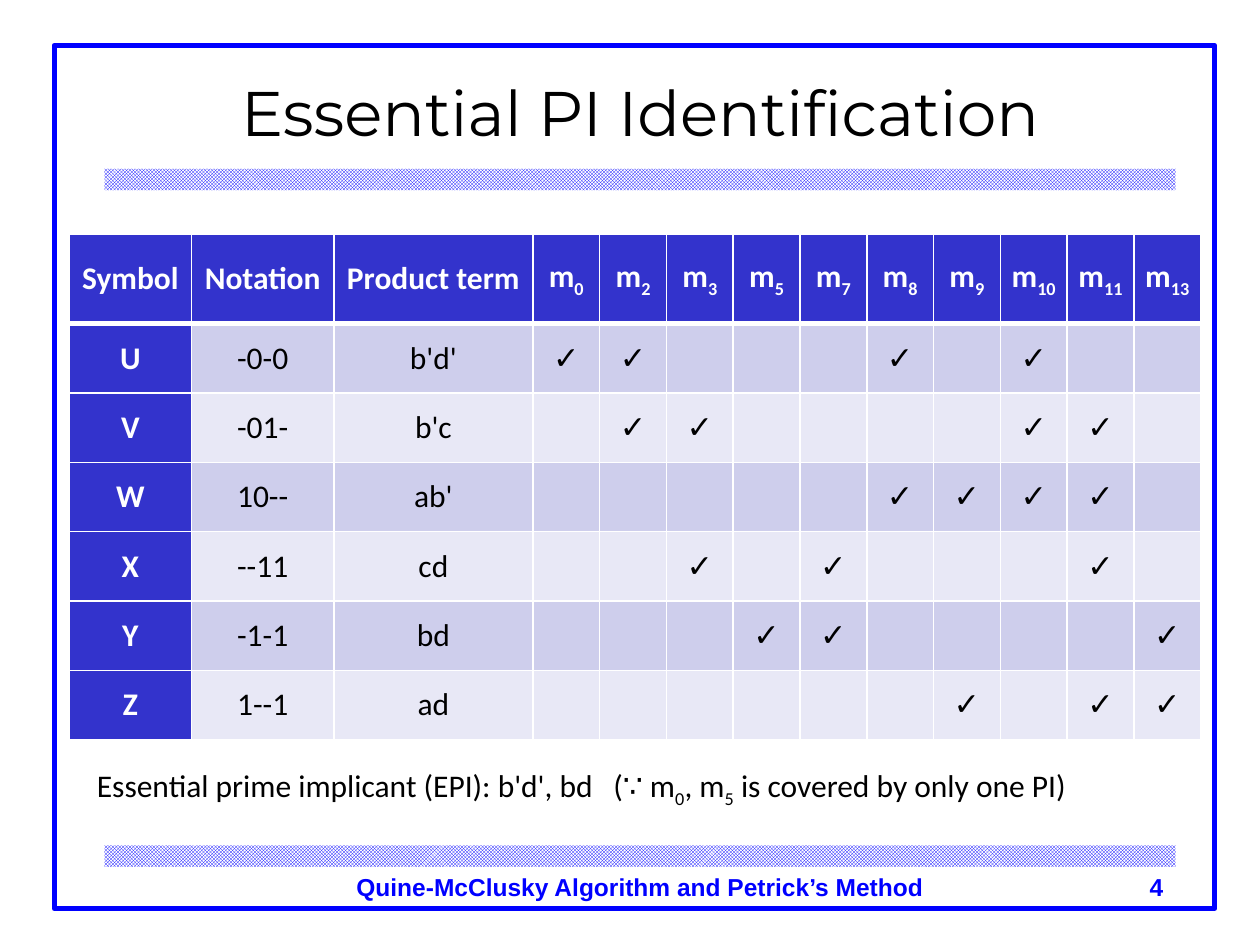
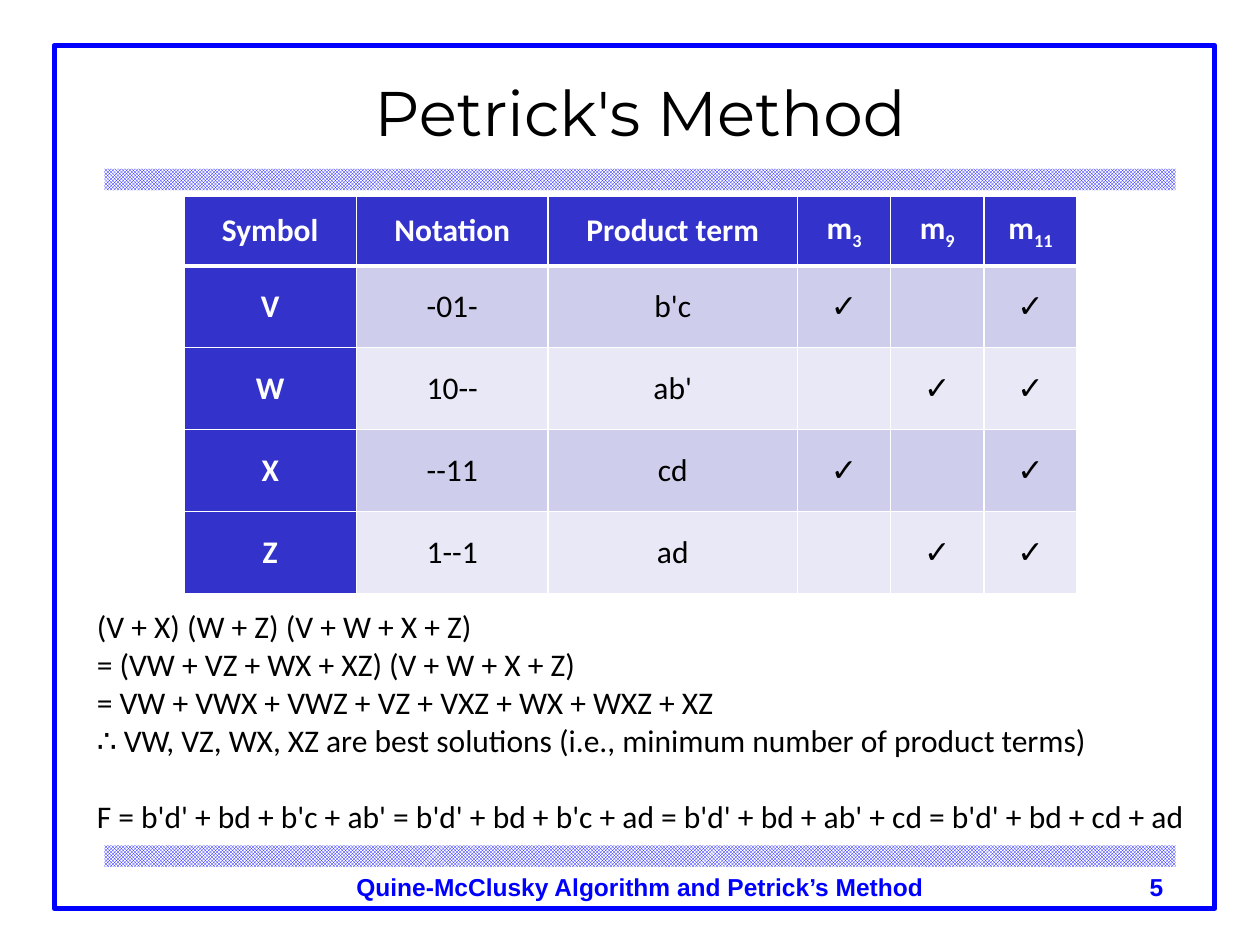
from lxml.etree import SubElement
from pptx import Presentation
from pptx.dml.color import RGBColor
from pptx.enum.dml import MSO_PATTERN
from pptx.enum.shapes import MSO_SHAPE
from pptx.enum.text import MSO_ANCHOR, MSO_AUTO_SIZE, PP_ALIGN
from pptx.oxml import parse_xml
from pptx.oxml.ns import nsdecls, qn
from pptx.util import Inches, Pt

COLORS = {
    "frame": "0000FF",
    "header": "3333CC",
    "odd_row": "CECEEC",
    "even_row": "E8E8F6",
    "white": "FFFFFF",
    "black": "000000",
}
FIRST_NUMBER = 4
FOOTER = "Quine-McClusky Algorithm and Petrick’s Method"
HEADINGS = ["Symbol", "Notation", "Product term"]
IMPLICANTS = {
    "U": ("-0-0", "b'd'", {0, 2, 8, 10}),
    "V": ("-01-", "b'c", {2, 3, 10, 11}),
    "W": ("10--", "ab'", {8, 9, 10, 11}),
    "X": ("--11", "cd", {3, 7, 11}),
    "Y": ("-1-1", "bd", {5, 7, 13}),
    "Z": ("1--1", "ad", {9, 11, 13}),
}
SLIDES = [
    {
        "title": "Essential PI Identification",
        "symbols": "UVWXYZ",
        "minterms": [0, 2, 3, 5, 7, 8, 9, 10, 11, 13],
        "table_at": (0.55, 1.86),
        "label_widths": [0.97, 1.13, 1.58],
        "minterm_width": 0.53,
        "header_height": 0.71,
        "row_height": 0.55,
        "notes_at": (0.67, 6.03, 8.12, 0.4),
        "notes": ["Essential prime implicant (EPI): b'd', bd\t"
                  "(∵ m~0~, m~5~ is covered by only one PI)"],
        "tab_stop": 4.1,
    },
    {
        "title": "Petrick's Method",
        "symbols": "VWXZ",
        "minterms": [3, 9, 11],
        "table_at": (1.46, 1.56),
        "label_widths": [1.37, 1.52, 1.98],
        "minterm_width": 0.74,
        "header_height": 0.55,
        "row_height": 0.65,
        "notes_at": (0.67, 4.77, 8.97, 1.92),
        "notes": [
            "(V + X) (W + Z) (V + W + X + Z)",
            "= (VW + VZ + WX + XZ) (V + W + X + Z)",
            "= VW + VWX + VWZ + VZ + VXZ + WX + WXZ + XZ",
            "∴ VW, VZ, WX, XZ are best solutions (i.e., minimum number of product terms)",
        ],
        "result": "F = b'd' + bd + b'c + ab' = b'd' + bd + b'c + ad"
                  " = b'd' + bd + ab' + cd = b'd' + bd + cd + ad",
    },
]


def rgb(name):
    return RGBColor.from_string(COLORS[name])


def inches(values):
    return [Inches(value) for value in values]


def write(para, text, size=18, font="Calibri", color="black", bold=False, align=PP_ALIGN.LEFT):
    para.alignment = align
    for index, piece in enumerate(text.split("~")):
        if piece:
            span = para.add_run()
            span.text = piece
            span.font.size = Pt(size)
            span.font.name = font
            span.font.bold = bold
            span.font.color.rgb = rgb(color)
            if index % 2:
                span.font._element.set("baseline", "-25000")


def add_box(page, at):
    box = page.shapes.add_textbox(*inches(at))
    box.text_frame.word_wrap = True
    return box


def write_footer(box, text, align):
    para = box.text_frame.paragraphs[0]
    write(para, text, size=14, font="Arial", color="frame", bold=True, align=align)
    return para


def add_rectangle(page, at):
    shape = page.shapes.add_shape(MSO_SHAPE.RECTANGLE, *inches(at))
    shape.shadow.inherit = False
    return shape


def furnish_layout(layout, page):
    for placeholder in list(layout.placeholders)[1:]:
        layout.shapes.element.remove(placeholder.element)
    furniture = []
    for top in (6.71, 1.34):
        band = add_rectangle(page, (0.83, top, 8.5, 0.17))
        band.fill.patterned()
        band.fill.pattern = MSO_PATTERN.SMALL_CHECKER_BOARD
        band.fill.fore_color.rgb = rgb("frame")
        band.fill.back_color.rgb = rgb("white")
        band.line.fill.background()
        furniture.append(band)
    footer = add_box(page, (2.64, 6.87, 4.88, 0.34))
    write_footer(footer, FOOTER, PP_ALIGN.CENTER)
    frame = add_rectangle(page, (0.43, 0.36, 9.21, 6.85))
    frame.fill.background()
    frame.line.color.rgb = rgb("frame")
    frame.line.width = Pt(3)
    for shape in furniture + [footer, frame]:
        layout.shapes.element.append(shape.element)


def set_title(page, text):
    title = page.shapes.title
    title.left, title.top, title.width, title.height = inches((0.83, 0.51, 8.5, 0.75))
    title.text_frame.auto_size = MSO_AUTO_SIZE.NONE
    title.text_frame.vertical_anchor = MSO_ANCHOR.MIDDLE
    write(title.text_frame.paragraphs[0], text, size=36, font="Montserrat", align=PP_ALIGN.CENTER)


def add_page_number(page, number):
    box = add_box(page, (7.25, 6.87, 2.08, 0.5))
    span = write_footer(box, str(number), PP_ALIGN.RIGHT).runs[0]._r
    span.tag = qn("a:fld")
    span.set("id", "{B6F15528-21DE-4FAA-801E-634DDDAF4B2B}")
    span.set("type", "slidenum")


def set_borders(cell, top, bottom):
    properties = cell._tc.get_or_add_tcPr()
    widths = {"lnL": 1, "lnR": 1, "lnT": top, "lnB": bottom}
    for index, (side, width) in enumerate(widths.items()):
        properties.insert(index, parse_xml(
            f'<a:{side} {nsdecls("a")} w="{Pt(width)}"><a:solidFill>'
            f'<a:srgbClr val="{COLORS["white"]}"/></a:solidFill></a:{side}>'))


def add_cover_table(page, content):
    minterms = content["minterms"]
    rows = [HEADINGS + [f"m~{minterm}~" for minterm in minterms]]
    for symbol in content["symbols"]:
        notation, product, covered = IMPLICANTS[symbol]
        rows.append([symbol, notation, product]
                    + ["✓" if minterm in covered else "" for minterm in minterms])
    widths = content["label_widths"] + [content["minterm_width"]] * len(minterms)
    heights = [content["header_height"]] + [content["row_height"]] * len(content["symbols"])
    size = (sum(widths), sum(heights))
    table = page.shapes.add_table(
        len(rows), len(widths), *inches(content["table_at"] + size)).table
    table.horz_banding = False
    for column, width in zip(table.columns, widths):
        column.width = Inches(width)
    for row_index, (row, height, texts) in enumerate(zip(table.rows, heights, rows)):
        row.height = Inches(height)
        for column_index, (cell, text) in enumerate(zip(row.cells, texts)):
            heading = row_index == 0 or column_index == 0
            body_fill = "odd_row" if row_index % 2 else "even_row"
            cell.fill.solid()
            cell.fill.fore_color.rgb = rgb("header" if heading else body_fill)
            cell.vertical_anchor = MSO_ANCHOR.MIDDLE
            cell.margin_left = cell.margin_right = Inches(0.07)
            cell.margin_top = cell.margin_bottom = 0
            set_borders(cell, 3 if row_index == 1 else 1, 3 if row_index == 0 else 1)
            write(cell.text_frame.paragraphs[0], text, bold=heading,
                  color="white" if heading else "black", align=PP_ALIGN.CENTER)


def add_notes_box(page, content):
    frame = add_box(page, content["notes_at"]).text_frame
    for index, line in enumerate(content["notes"]):
        para = frame.add_paragraph() if index else frame.paragraphs[0]
        write(para, line)
        if "tab_stop" in content:
            stops = SubElement(para._p.get_or_add_pPr(), qn("a:tabLst"))
            SubElement(stops, qn("a:tab"), pos=str(Inches(content["tab_stop"])), algn="l")
    if "result" in content:
        para = frame.add_paragraph()
        para.space_before = Pt(22)
        write(para, content["result"])


def main():
    deck = Presentation()
    deck.slide_width, deck.slide_height = Inches(10), Inches(7.5)
    deck.element.set("firstSlideNum", str(FIRST_NUMBER))
    layout = deck.slide_layouts[5]
    for number, content in enumerate(SLIDES, FIRST_NUMBER):
        page = deck.slides.add_slide(layout)
        if number == FIRST_NUMBER:
            furnish_layout(layout, page)
        set_title(page, content["title"])
        add_page_number(page, number)
        add_cover_table(page, content)
        add_notes_box(page, content)
    deck.save("out.pptx")


if __name__ == "__main__":
    main()
